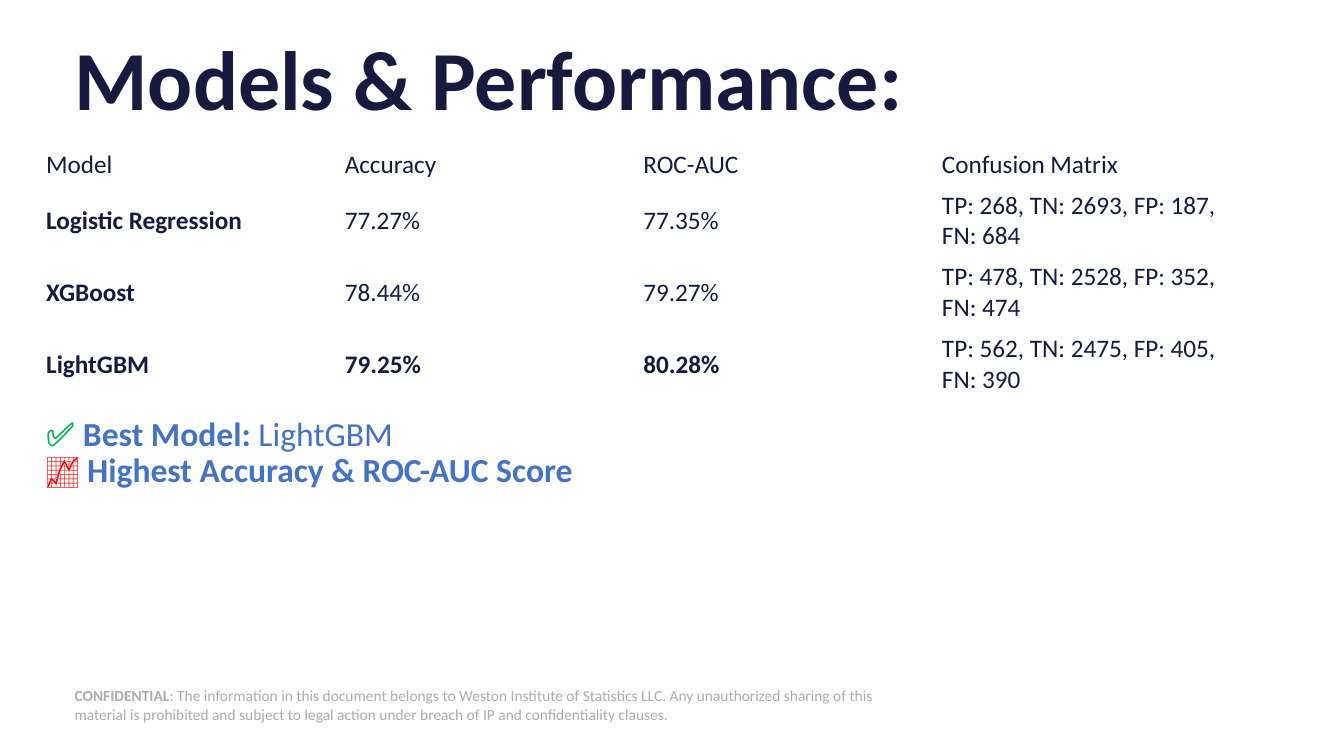
import pptx
import pptx.dml.color
import pptx.enum.shapes
import pptx.enum.text
import pptx.util
from pptx.util import Cm

# Content
NAVY, BLUE, GREEN, RED, GREY, WHITE = (
    "161A3E", "4472C4", "00B050", "FF0000", "AFABAB", "FFFFFF")
TITLE = "Models & Performance:"
HEADINGS = ["Model", "Accuracy", "ROC-AUC", "Confusion Matrix"]
MODELS = [
    ("Logistic Regression", "77.27%", "77.35%", (268, 2693, 187, 684)),
    ("XGBoost", "78.44%", "79.27%", (478, 2528, 352, 474)),
    ("LightGBM", "79.25%", "80.28%", (562, 2475, 405, 390)),
]
BEST_MODEL = "LightGBM"
FINDINGS = [
    [("✅ ", GREEN, False), ("Best Model: ", BLUE, True), (BEST_MODEL, BLUE, False)],
    [("📈 ", RED, False), ("Highest Accuracy & ROC-AUC Score", BLUE, True)],
]
NOTICE = [
    ("CONFIDENTIAL", True),
    (": The information in this document belongs to Weston Institute of Statistics LLC. "
     "Any unauthorized sharing of this material is prohibited and subject to legal action "
     "under breach of IP and confidentiality clauses.", False),
]


def color(value):
    return pptx.dml.color.RGBColor.from_string(value)


def add_text(para, text, size=18, fill=NAVY, bold=False):
    span = para.add_run()
    span.text = text
    span.font.name = "Calibri"
    span.font.size = pptx.util.Pt(size)
    span.font.bold = bold
    span.font.color.rgb = color(fill)


def prepare_frame(shape, anchor, inset=True):
    frame = shape.text_frame
    frame.word_wrap = True
    frame.vertical_anchor = anchor
    if not inset:
        frame.margin_left = frame.margin_right = 0
        frame.margin_top = frame.margin_bottom = 0
    return frame.paragraphs[0]


ANCHOR = pptx.enum.text.MSO_ANCHOR
deck = pptx.Presentation()
deck.slide_width, deck.slide_height = Cm(33.87), Cm(19.05)
page = deck.slides.add_slide(deck.slide_layouts[6])

# Confidentiality notice
notice = page.shapes.add_shape(pptx.enum.shapes.MSO_SHAPE.RECTANGLE,
                               Cm(1.88), Cm(17.25), Cm(20.75), Cm(1.02))
notice.shadow.inherit = False
notice.fill.solid()
notice.fill.fore_color.rgb = color(WHITE)
notice.line.fill.background()
para = prepare_frame(notice, ANCHOR.MIDDLE, inset=False)
para.alignment = pptx.enum.text.PP_ALIGN.LEFT
for text, bold in NOTICE:
    add_text(para, text, size=11, fill=GREY, bold=bold)

# Title
title = page.shapes.add_textbox(Cm(1.88), Cm(0.51), Cm(30.1), Cm(2.72))
para = prepare_frame(title, ANCHOR.BOTTOM, inset=False)
para.line_spacing = 0.9
add_text(para, TITLE, size=60, bold=True)

# Findings
findings = page.shapes.add_textbox(Cm(0.91), Cm(10.39), Cm(17.88), Cm(5.66))
para = prepare_frame(findings, ANCHOR.TOP)
para.line_spacing = 0.9
para.space_before = pptx.util.Pt(10)
for index, line in enumerate(FINDINGS):
    if index:
        para.add_line_break()
    for text, fill, bold in line:
        add_text(para, text, size=24, fill=fill, bold=bold)

# Model table
rows = [HEADINGS]
for name, accuracy, auc, counts in MODELS:
    matrix = ", ".join(f"{key}: {count}" for key, count in zip(("TP", "TN", "FP", "FN"), counts))
    rows.append([name, accuracy, auc, matrix])
heights = [Cm(1.03)] + [Cm(1.81)] * len(MODELS)
table = page.shapes.add_table(len(rows), len(HEADINGS), Cm(0.91), Cm(3.63),
                              Cm(30.1), sum(heights)).table
table.first_row = table.horz_banding = False
for row_index, row in enumerate(rows):
    table.rows[row_index].height = heights[row_index]
    for column_index, text in enumerate(row):
        cell = table.cell(row_index, column_index)
        cell.fill.background()
        cell.vertical_anchor = ANCHOR.MIDDLE
        is_name = row_index > 0 and column_index == 0
        is_best_score = row[0] == BEST_MODEL and column_index in (1, 2)
        add_text(cell.text_frame.paragraphs[0], text, bold=is_name or is_best_score)

deck.save("out.pptx")
